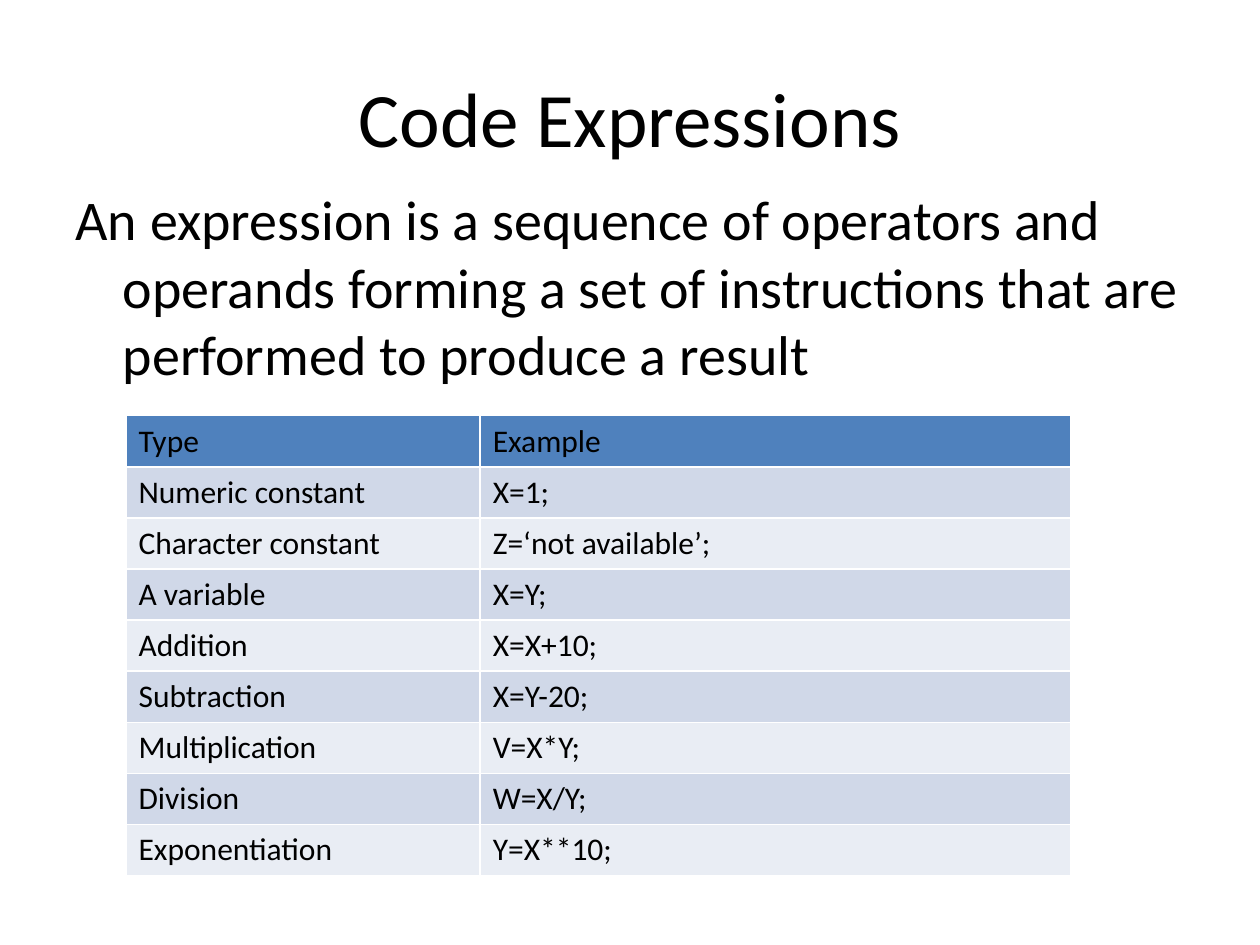
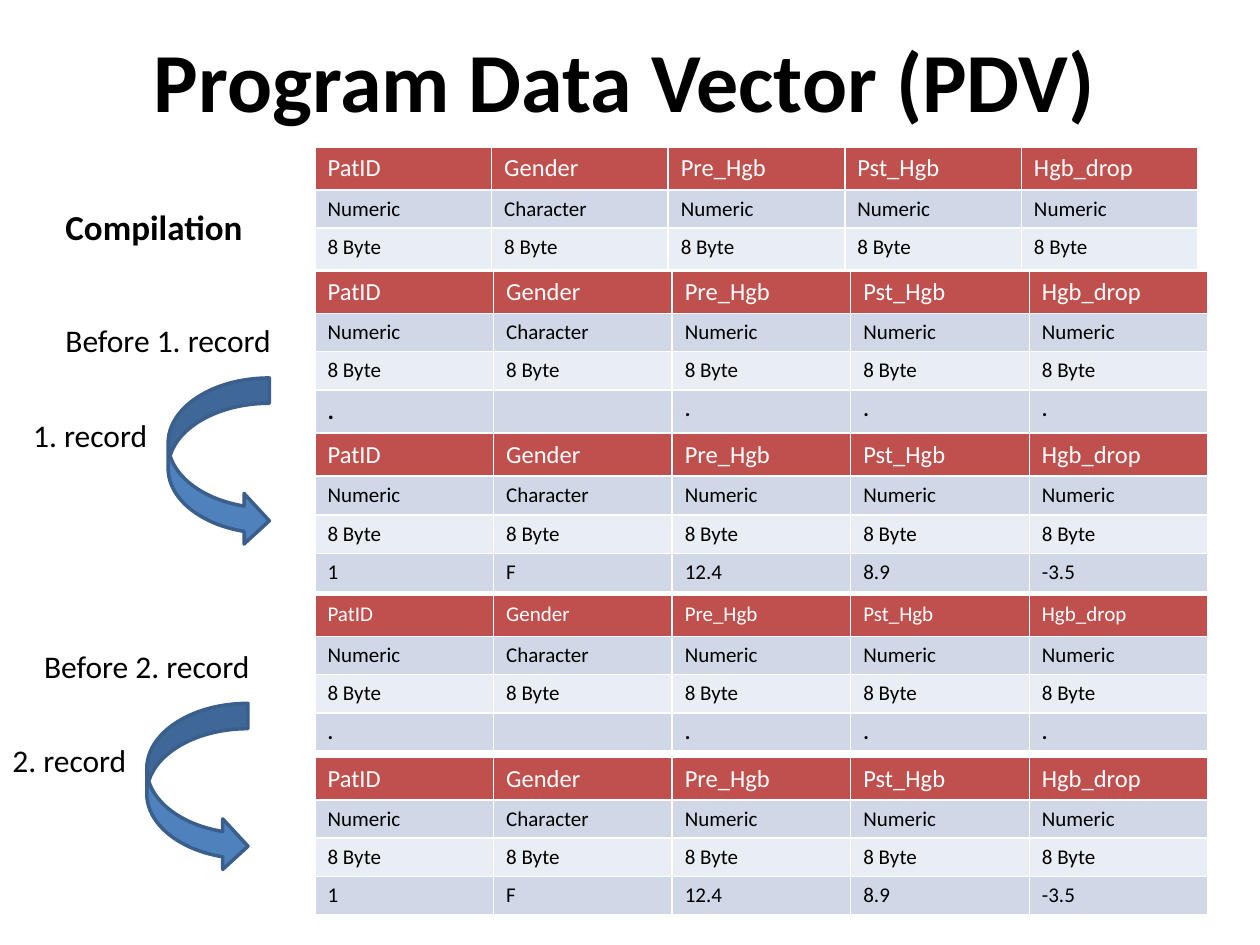
"""Build two slides on expressions and the program data vector."""
from dataclasses import dataclass

from pptx import Presentation
from pptx.dml.color import RGBColor
from pptx.enum.shapes import MSO_SHAPE
from pptx.enum.text import MSO_ANCHOR, MSO_AUTO_SIZE, PP_ALIGN
from pptx.util import Cm, Pt

CURVED_ARROW = MSO_SHAPE.CURVED_RIGHT_ARROW
MIDDLE = MSO_ANCHOR.MIDDLE
CENTER = PP_ALIGN.CENTER
NO_FIT = MSO_AUTO_SIZE.NONE
GROW = MSO_AUTO_SIZE.SHAPE_TO_FIT_TEXT


@dataclass(frozen=True)
class Theme:
    font: str = "Calibri"
    ink: RGBColor = RGBColor(0x00, 0x00, 0x00)
    white: RGBColor = RGBColor(0xFF, 0xFF, 0xFF)
    blue: RGBColor = RGBColor(0x4F, 0x81, 0xBD)
    outline: RGBColor = RGBColor(0x3A, 0x5F, 0x8C)
    red: RGBColor = RGBColor(0xC0, 0x50, 0x4D)
    bands: tuple = (RGBColor(0xE9, 0xED, 0xF4), RGBColor(0xD0, 0xD8, 0xE8))
    title: int = 44
    title_large: int = 48
    body: int = 32
    stage: int = 20
    text: int = 18
    heading: int = 14
    small: int = 12


THEME = Theme()


def write(frame, text, size, color=THEME.ink, bold=False):
    frame.text = text
    paragraph = frame.paragraphs[0]
    if not text:
        paragraph._p.get_or_add_endParaRPr().set("sz", str(size * 100))
    for run in paragraph.runs:
        run.font.name = THEME.font
        run.font.size = Pt(size)
        run.font.bold = bold
        run.font.color.rgb = color
    return paragraph


def add_grid(slide, left, top, widths, heights, rows, header_fill, header_color, header_size, size):
    grid = slide.shapes.add_table(
        len(rows), len(widths), Cm(left), Cm(top), Cm(sum(widths)), Cm(sum(heights))
    ).table
    for column, width in zip(grid.columns, widths):
        column.width = Cm(width)
    for r, (values, height) in enumerate(zip(rows, heights)):
        grid.rows[r].height = Cm(height)
        for c, value in enumerate(values):
            cell = grid.cell(r, c)
            cell.fill.solid()
            cell.fill.fore_color.rgb = THEME.bands[r % 2] if r else header_fill
            if r:
                write(cell.text_frame, value, size, bold=value == ".")
            else:
                write(cell.text_frame, value, header_size, header_color)
    return grid


deck = Presentation()
deck.slide_width, deck.slide_height = Cm(25.4), Cm(19.05)
title_and_content, title_only = deck.slide_layouts[1], deck.slide_layouts[5]
expressions = deck.slides.add_slide(title_and_content)
vector = deck.slides.add_slide(title_only)

for slide, text, size, bold, (left, top, width, height) in (
    (expressions, "Code Expressions", THEME.title, False, (1.27, 0.76, 22.86, 3.18)),
    (vector, "Program Data Vector (PDV)", THEME.title_large, True, (0.42, 0, 24.34, 3.18)),
):
    heading = slide.shapes.title
    heading.left, heading.top, heading.width, heading.height = Cm(left), Cm(top), Cm(width), Cm(height)
    heading.text_frame.vertical_anchor = MIDDLE
    heading.text_frame.auto_size = NO_FIT
    write(heading.text_frame, text, size, bold=bold).alignment = CENTER

definition = expressions.placeholders[1]
definition.left, definition.top, definition.width, definition.height = Cm(1.27), Cm(3.6), Cm(22.86), Cm(4.65)
definition.text_frame.auto_size = NO_FIT
sentence = write(
    definition.text_frame,
    "An expression is a sequence of operators and operands forming a set of "
    "instructions that are performed to produce a result",
    THEME.body,
)
indent = sentence._p.get_or_add_pPr()
indent.set("marL", str(Cm(0.95)))
indent.set("indent", str(-Cm(0.95)))
indent.insert_element_before(indent.makeelement(
    "{http://schemas.openxmlformats.org/drawingml/2006/main}buNone", {}), "a:tabLst", "a:defRPr", "a:extLst")

examples = (
    ("Type", "Example"),
    ("Numeric constant", "X=1;"),
    ("Character constant", "Z=‘not available’;"),
    ("A variable", "X=Y;"),
    ("Addition", "X=X+10;"),
    ("Subtraction", "X=Y-20;"),
    ("Multiplication", "V=X*Y;"),
    ("Division", "W=X/Y;"),
    ("Exponentiation", "Y=X**10;"),
)
add_grid(expressions, 2.54, 8.38, (7.14, 11.91), [1.03] * len(examples), examples,
         THEME.blue, THEME.ink, THEME.text, THEME.text)

variables = [
    ("PatID", "Gender", "Pre_Hgb", "Pst_Hgb", "Hgb_drop"),
    ("Numeric", "Character", "Numeric", "Numeric", "Numeric"),
    ("8 Byte",) * 5,
]
missing = (".", "", ".", ".", ".")
record = ("1", "F", "12.4", "8.9", "-3.5")
stages = (
    (2.97, 3.56, (0.84, 0.76, 0.84), [], THEME.heading),
    (5.46, 3.6, (0.84, 0.76, 0.76, 0.84), [missing], THEME.heading),
    (8.74, 3.6, (0.84, 0.79, 0.76, 0.76), [record], THEME.heading),
    (11.99, 3.6, (0.84, 0.76, 0.76, 0.76), [missing], THEME.small),
    (15.27, 3.6, (0.84, 0.76, 0.76, 0.76), [record], THEME.heading),
)
grids = [
    add_grid(vector, 6.35, top, [width] * 5, heights, variables + values,
             THEME.red, THEME.white, header_size, THEME.small)
    for top, width, heights, values, header_size in stages
]
write(grids[1].cell(3, 0).text_frame, ".", THEME.heading, bold=True)

for text, left, top, width, height, size, bold in (
    ("Compilation", 1.07, 4.02, 4.62, 1.11, THEME.stage, True),
    ("Before 1. record", 1.07, 6.35, 5.1, 1.03, THEME.text, False),
    ("1. record", 0.42, 8.26, 3.05, 1.03, THEME.text, False),
    ("Before 2. record", 0.64, 12.91, 5.1, 1.03, THEME.text, False),
    ("2. record", 0, 14.82, 3.05, 1.03, THEME.text, False),
):
    label = vector.shapes.add_textbox(Cm(left), Cm(top), Cm(width), Cm(height)).text_frame
    label.word_wrap = False
    label.auto_size = GROW
    write(label, text, size, bold=bold)

for left, top in ((3.39, 7.62), (2.96, 14.18)):
    step = vector.shapes.add_shape(CURVED_ARROW, Cm(left), Cm(top), Cm(2.04), Cm(3.39))
    step.shadow.inherit = False
    step.fill.solid()
    step.fill.fore_color.rgb = THEME.blue
    step.line.color.rgb = THEME.outline
    step.line.width = Pt(2)

deck.save("out.pptx")
